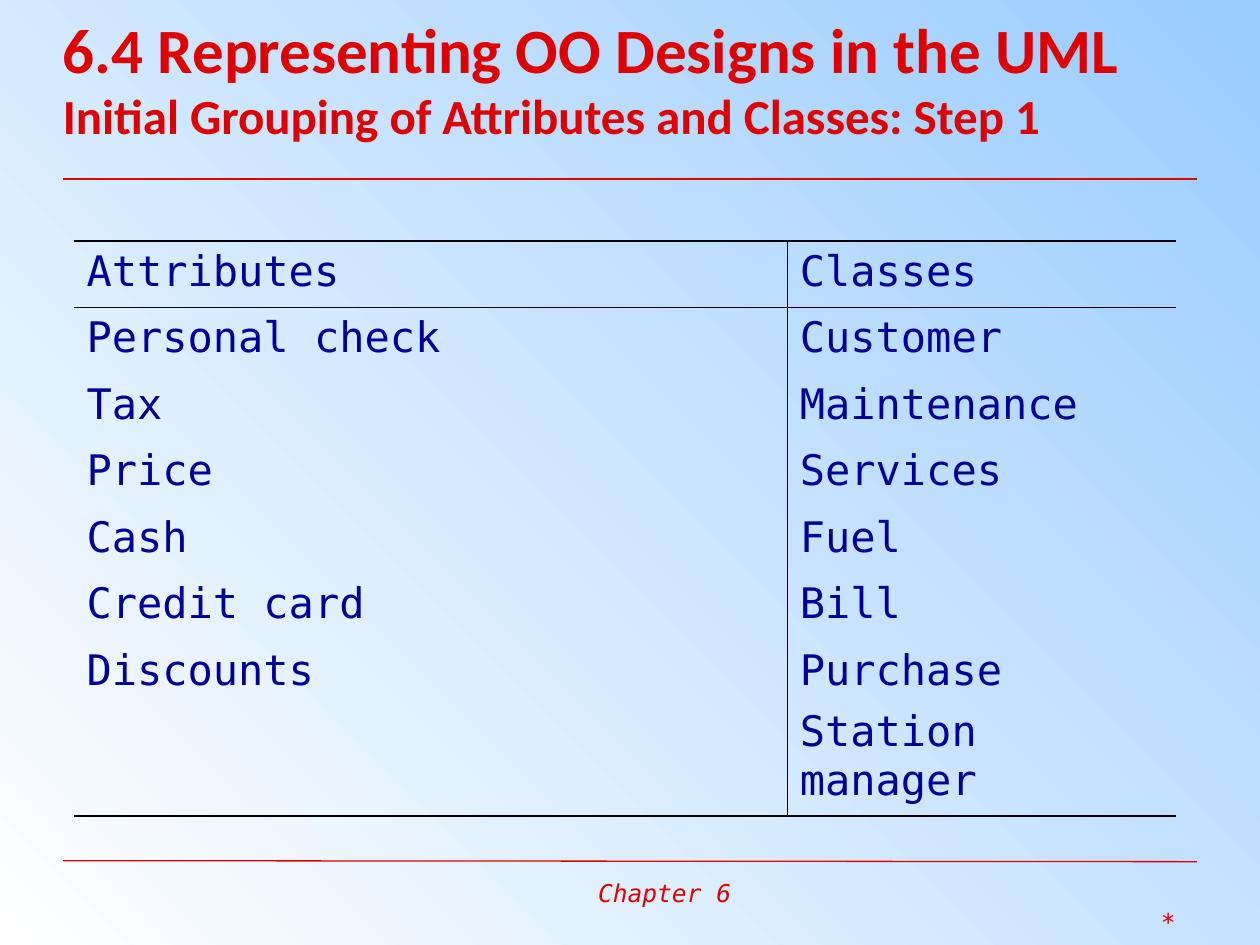
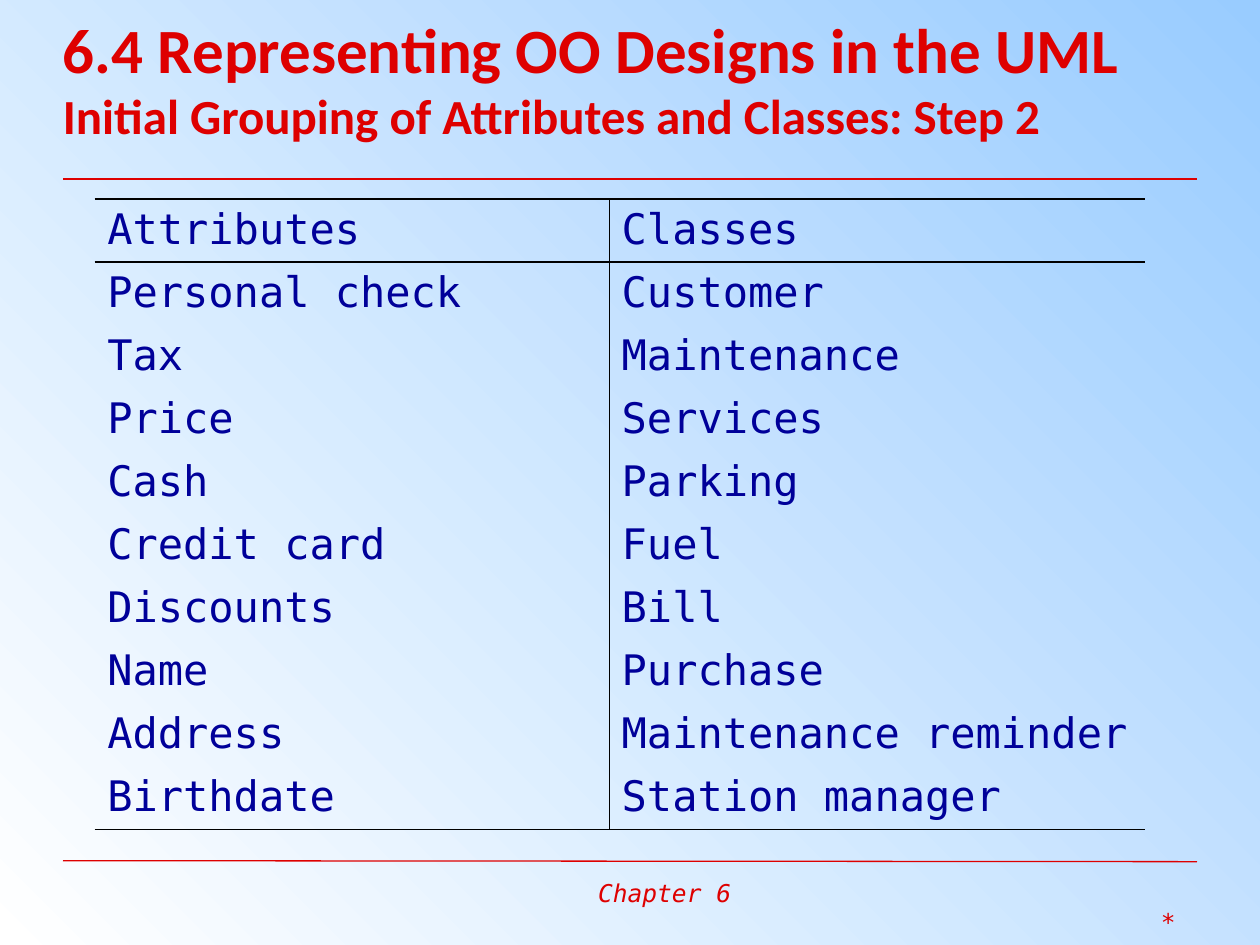
from pptx import Presentation
from pptx import util as u
from pptx.dml import color
from pptx.enum import shapes, text
from pptx.oxml import ns
from lxml import etree

COLORS = {
    "red": "DE0000",
    "navy": "000099",
    "black": "000000",
    "sky": "99CCFF",
    "white": "FFFFFF",
}
HEADING_FONT = "Calibri"
BODY_FONT = "DejaVu Sans Mono"
LEFT, RIGHT = 1.27, 24.13
THICK, THIN = 1.08, 0.45


def rgb(name):
    return color.RGBColor.from_string(COLORS[name])


def add_text(paragraph, content, size=24, font=BODY_FONT, fill="navy", bold=False, italic=False):
    run = paragraph.add_run()
    run.text = content
    run.font.size = u.Pt(size)
    run.font.name = font
    run.font.color.rgb = rgb(fill)
    run.font.bold = bold
    run.font.italic = italic


def set_borders(cell, **widths):
    """Draw the named sides (L, R, T, B) in black and hide the others."""
    properties = cell._tc.get_or_add_tcPr()
    for position, side in enumerate("LRTB"):
        line = etree.Element(ns.qn(f"a:ln{side}"))
        width = widths.get(side)
        if width:
            line.set("w", str(u.Pt(width)))
            fill = etree.SubElement(line, ns.qn("a:solidFill"))
            etree.SubElement(fill, ns.qn("a:srgbClr"), val=COLORS["black"])
        else:
            etree.SubElement(line, ns.qn("a:noFill"))
        properties.insert(position, line)


class Deck:
    def __init__(self):
        self.presentation = Presentation()
        self.presentation.slide_width = u.Cm(25.4)
        self.presentation.slide_height = u.Cm(19.05)
        self.slide = None

    def new_slide(self, title, subtitle):
        self.slide = self.presentation.slides.add_slide(self.presentation.slide_layouts[6])
        self.background()
        self.rule(17.35, 17.37, 0.75)
        self.rule(3.61, 3.61, 1.5)
        self.footer()
        self.title(title, subtitle)

    def background(self):
        fill = self.slide.background.fill
        fill.gradient()
        fill.gradient_angle = 225
        for stop, name in zip(fill.gradient_stops, ("sky", "white")):
            stop.color.rgb = rgb(name)

    def rule(self, start_y, end_y, weight):
        line = self.slide.shapes.add_connector(
            shapes.MSO_CONNECTOR.STRAIGHT, u.Cm(LEFT), u.Cm(start_y), u.Cm(RIGHT), u.Cm(end_y))
        line.line.color.rgb = rgb("red")
        line.line.width = u.Pt(weight)
        etree.SubElement(line._element.spPr, ns.qn("a:effectLst"))

    def text_box(self, left, top, width, height):
        box = self.slide.shapes.add_textbox(u.Cm(left), u.Cm(top), u.Cm(width), u.Cm(height))
        box.text_frame.word_wrap = True
        return box.text_frame

    def footer(self):
        for content, left, top, width, align in (
                ("Chapter 6", 11.81, 17.58, 3.6, text.PP_ALIGN.LEFT),
                ("*", 22.95, 18.16, 1, text.PP_ALIGN.RIGHT)):
            paragraph = self.text_box(left, top, width, 0.86).paragraphs[0]
            paragraph.alignment = align
            add_text(paragraph, content, size=14, fill="red", italic=True)

    def title(self, title, subtitle):
        frame = self.text_box(LEFT, 0, 23.5, 3.12)
        frame.margin_left = frame.margin_right = frame.margin_top = frame.margin_bottom = 0
        frame.vertical_anchor = text.MSO_ANCHOR.MIDDLE
        paragraph = frame.paragraphs[0]
        add_text(paragraph, title, size=36, font=HEADING_FONT, fill="red", bold=True)
        paragraph.add_line_break()
        add_text(paragraph, subtitle, size=28, font=HEADING_FONT, fill="red", bold=True)

    def table(self, rows, left, top, column_widths, row_heights):
        """Add a two-column table; a line break in a cell starts a new paragraph."""
        table = self.slide.shapes.add_table(
            len(rows), len(column_widths), u.Cm(left), u.Cm(top),
            u.Cm(sum(column_widths)), u.Cm(sum(row_heights))).table
        table.first_row = table.horz_banding = False
        for column, width in zip(table.columns, column_widths):
            column.width = u.Cm(width)
        for index, (row, height) in enumerate(zip(rows, row_heights)):
            table.rows[index].height = u.Cm(height)
            above = THICK if index < 2 else None
            below = THICK if index in (0, len(rows) - 1) else None
            for cell, content, inner_side in zip(table.rows[index].cells, row, "RL"):
                self.fill_cell(cell, content)
                set_borders(cell, T=above, B=below, **{inner_side: THIN})

    def fill_cell(self, cell, content):
        cell.fill.background()
        for number, line in enumerate(content.split("\n")):
            if number:
                paragraph = cell.text_frame.add_paragraph()
                paragraph.space_before = u.Pt(7)
            else:
                paragraph = cell.text_frame.paragraphs[0]
            add_text(paragraph, line)


def main():
    deck = Deck()
    title = "6.4 Representing OO Designs in the UML"
    subtitle = "Initial Grouping of Attributes and Classes: Step "
    shared_attributes = [
        "Attributes", "Personal check", "Tax", "Price", "Cash", "Credit card", "Discounts"]
    shared_classes = ["Classes", "Customer", "Maintenance", "Services"]

    deck.new_slide(title, subtitle + "1")
    first_classes = shared_classes + ["Fuel", "Bill", "Purchase\nStation manager"]
    deck.table(list(zip(shared_attributes, first_classes)), 1.49, 4.86,
               [14.38, 7.83], [1.34] * 6 + [3.45])

    deck.new_slide(title, subtitle + "2")
    second_attributes = shared_attributes + ["Name", "Address", "Birthdate"]
    second_classes = shared_classes + [
        "Parking", "Fuel", "Bill", "Purchase", "Maintenance reminder", "Station manager"]
    deck.table(list(zip(second_attributes, second_classes)), 1.91, 4.01,
               [10.37, 10.8], [1.27] * 10)

    deck.presentation.save("out.pptx")


if __name__ == "__main__":
    main()
